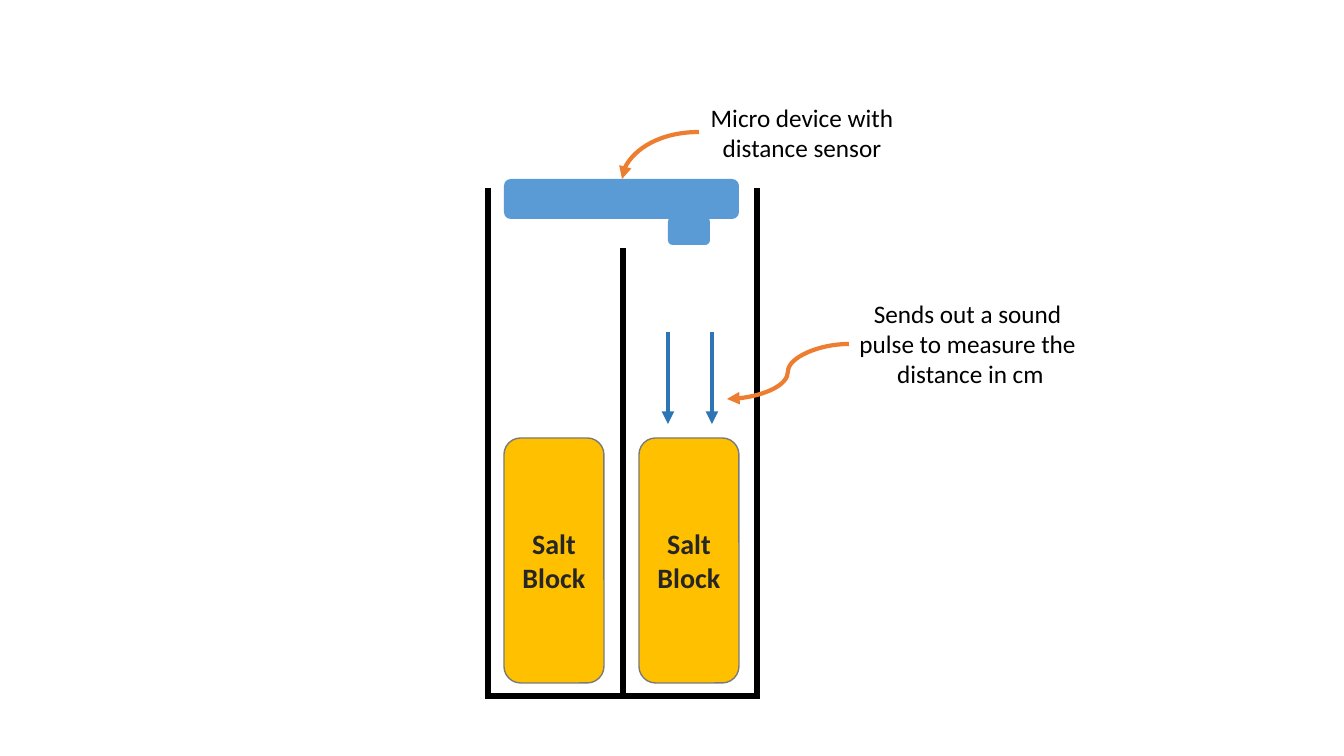
import pptx
import pptx.util
import pptx.dml.color
import pptx.enum.shapes
import pptx.enum.text
import pptx.oxml
import pptx.oxml.ns

PX = 914400 / 100.8
FONT = "Calibri"
BLACK = pptx.dml.color.RGBColor(0x00, 0x00, 0x00)
DARK = pptx.dml.color.RGBColor(0x26, 0x26, 0x26)
GREY = pptx.dml.color.RGBColor(0x7A, 0x7A, 0x7A)
GOLD = pptx.dml.color.RGBColor(0xFF, 0xC0, 0x00)
BLUE = pptx.dml.color.RGBColor(0x5B, 0x9B, 0xD5)
PULSE_BLUE = pptx.dml.color.RGBColor(0x2E, 0x75, 0xB6)
ORANGE = pptx.dml.color.RGBColor(0xED, 0x7D, 0x31)
ROUNDED = pptx.enum.shapes.MSO_SHAPE.ROUNDED_RECTANGLE
STRAIGHT = pptx.enum.shapes.MSO_CONNECTOR.STRAIGHT
CURVE = pptx.enum.shapes.MSO_CONNECTOR.CURVE


def px(*lengths):
    return [round(length * PX) for length in lengths]


def write_lines(box, lines, size, color, bold=False):
    """Fill a box with centred lines, one paragraph each."""
    frame = box.text_frame
    for index, line in enumerate(lines):
        para = frame.add_paragraph() if index else frame.paragraphs[0]
        para.alignment = pptx.enum.text.PP_ALIGN.CENTER
        span = para.add_run()
        span.text = line
        span.font.name = FONT
        span.font.size = pptx.util.Pt(size)
        span.font.bold = bold
        span.font.color.rgb = color


deck = pptx.Presentation()
deck.slide_width, deck.slide_height = px(1344, 756)
page = deck.slides.add_slide(deck.slide_layouts[6])
shapes = page.shapes

# Tank, open at the top
outline = shapes.build_freeform(488, 188, scale=PX)
outline.add_line_segments([(488, 696), (757, 696), (757, 188)], close=False)
tank = outline.convert_to_shape()
tank.shadow.inherit = False
tank.fill.background()
tank.line.color.rgb = BLACK
tank.line.width = pptx.util.Pt(4.5)
tank.line._get_or_add_ln().append(pptx.oxml.parse_xml(
    f'<a:miter {pptx.oxml.ns.nsdecls("a")} lim="800000"/>'))

# Salt blocks
for left, lines in ((504, ["Salt", "Block"]), (639, ["Salt Block"])):
    block = shapes.add_shape(ROUNDED, *px(left, 438, 100, 245))
    block.shadow.inherit = False
    block.fill.solid()
    block.fill.fore_color.rgb = GOLD
    block.line.color.rgb = GREY
    block.line.width = pptx.util.Pt(1)
    block.text_frame.word_wrap = True
    block.text_frame.vertical_anchor = pptx.enum.text.MSO_ANCHOR.MIDDLE
    write_lines(block, lines, 20, DARK, bold=True)

# Device body and its sensor
for bounds in ((504, 179, 235, 40), (668, 217, 42, 28)):
    device = shapes.add_shape(ROUNDED, *px(*bounds))
    device.shadow.inherit = False
    device.fill.solid()
    device.fill.fore_color.rgb = BLUE
    device.line.fill.background()

# Divider, sound pulses and callout arrows
links = (
    (STRAIGHT, (623, 697, 623, 248), BLACK, 4.5),
    (STRAIGHT, (668, 332, 668, 424), PULSE_BLUE, 3),
    (STRAIGHT, (712, 332, 712, 424), PULSE_BLUE, 3),
    (CURVE, (699, 132, 622, 179), ORANGE, 3),
    (CURVE, (849, 344, 727, 399), ORANGE, 3),
)
for kind, ends, color, width in links:
    link = shapes.add_connector(kind, *px(*ends))
    link.line.color.rgb = color
    link.line.width = pptx.util.Pt(width)
    properties = link._element.spPr
    properties.append(pptx.oxml.parse_xml(
        f'<a:effectLst {pptx.oxml.ns.nsdecls("a")}/>'))
    if color != BLACK:
        link.line._get_or_add_ln().append(pptx.oxml.parse_xml(
            f'<a:tailEnd {pptx.oxml.ns.nsdecls("a")} type="triangle"/>'))
    if kind == CURVE:
        # A half turn with a vertical flip runs right to left
        frame = properties.find(pptx.oxml.ns.qn("a:xfrm"))
        frame.attrib.pop("flipH", None)
        frame.set("rot", "10800000")
        frame.set("flipV", "1")
    if ends[0] == 699:
        # Single bend: leaves sideways, arrives from above
        properties.find(pptx.oxml.ns.qn("a:prstGeom")).set("prst", "curvedConnector2")

# Callout texts
callouts = (
    ((698, 97, 208, 72), ["Micro device with", "distance sensor"]),
    ((848, 293, 245, 102),
     ["Sends out a sound ", "pulse to measure the ", "distance in cm"]),
)
for bounds, lines in callouts:
    callout = shapes.add_textbox(*px(*bounds))
    callout.text_frame.word_wrap = False
    callout.text_frame.auto_size = pptx.enum.text.MSO_AUTO_SIZE.SHAPE_TO_FIT_TEXT
    write_lines(callout, lines, 18, BLACK)

deck.save("out.pptx")
